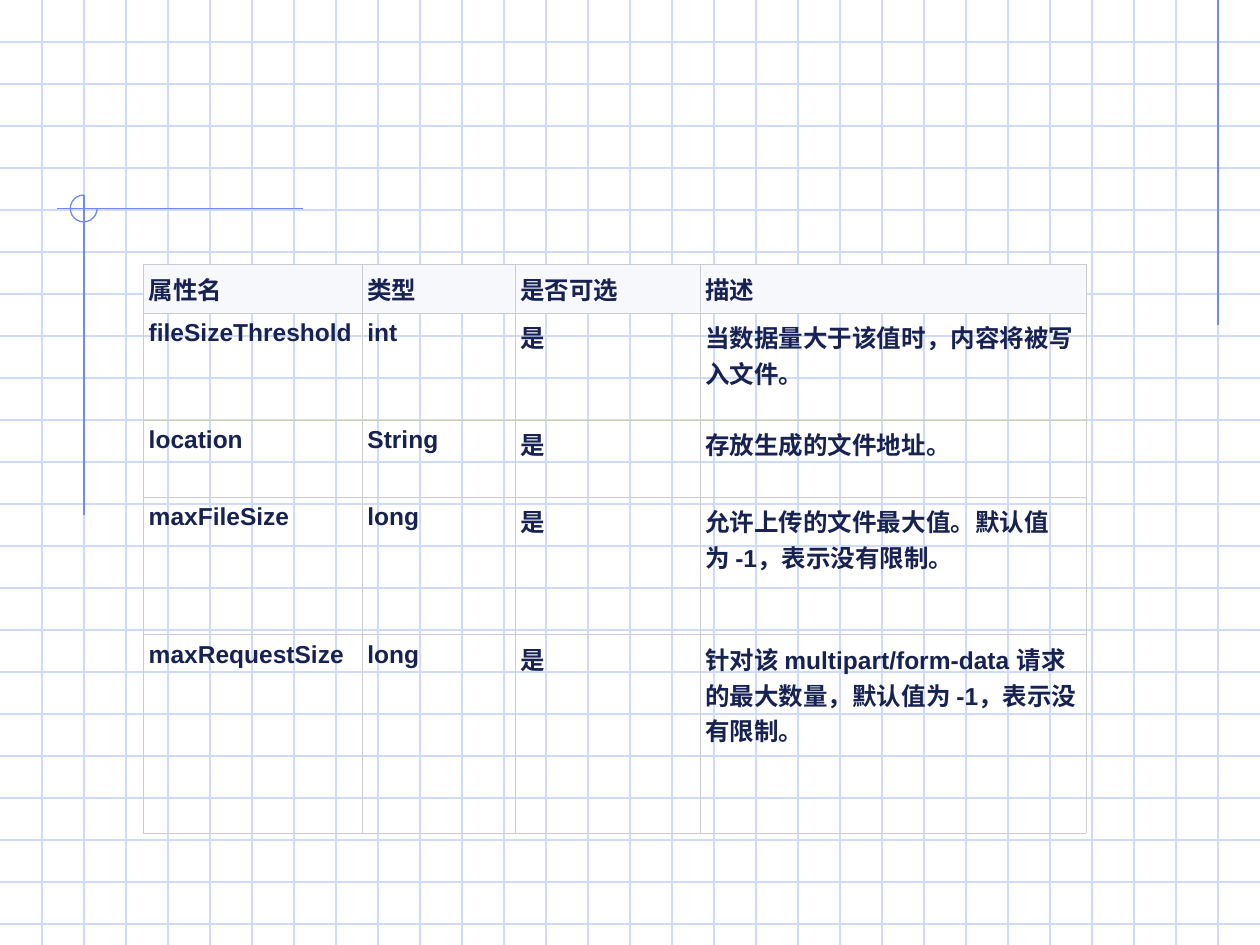
"""Build a slide with an attribute table on squared paper."""
import lxml.etree
import pptx
import pptx.dml.color
import pptx.enum.shapes
import pptx.oxml.ns
import pptx.util

Pt = pptx.util.Pt
qn = pptx.oxml.ns.qn

WIDTH, HEIGHT, GRID_STEP = 720, 540, 24
GRID_BLUE = pptx.dml.color.RGBColor(0xCF, 0xDB, 0xFD)
ACCENT_BLUE = pptx.dml.color.RGBColor(0x6F, 0x89, 0xF7)
BORDER_GREY = pptx.dml.color.RGBColor(0xCC, 0xCC, 0xCC)
HEADER_FILL = pptx.dml.color.RGBColor(0xF7, 0xF8, 0xFC)
TEXT_NAVY = pptx.dml.color.RGBColor(0x17, 0x22, 0x52)

COLUMN_WIDTHS = [125, 87.4, 105.6, 220.6]
ROW_HEIGHTS = [26.8, 61.2, 44, 78.6, 113.4]
ATTRIBUTES = [
    ("属性名", "类型", "是否可选", "描述"),
    ("fileSizeThreshold", "int", "是", "当数据量大于该值时，内容将被写入文件。"),
    ("location", "String", "是", "存放生成的文件地址。"),
    ("maxFileSize", "long", "是", "允许上传的文件最大值。默认值为 -1，表示没有限制。"),
    ("maxRequestSize", "long", "是",
     "针对该 multipart/form-data 请求的最大数量，默认值为 -1，表示没有限制。"),
]


def write_text(frame, text, *, font, size, color, bold=False):
    span = frame.paragraphs[0].add_run()
    span.text = text
    span.font.name = font
    span.font.size = Pt(size)
    span.font.bold = bold
    span.font.color.rgb = color


class SlidePainter:
    def __init__(self, page, font="Arial", size=14, line_width=0.75):
        self.page = page
        self.font = font
        self.size = size
        self.line_width = line_width

    def line(self, x1, y1, x2, y2, color):
        connector = self.page.shapes.add_connector(
            pptx.enum.shapes.MSO_CONNECTOR.STRAIGHT, Pt(x1), Pt(y1), Pt(x2), Pt(y2))
        connector.line.color.rgb = color
        connector.line.width = Pt(self.line_width)
        lxml.etree.SubElement(connector._element.spPr, qn("a:effectLst"))

    def grid(self, step, color):
        for y in range(step, HEIGHT, step):
            self.line(0, y, WIDTH, y, color)
        for x in range(step, WIDTH, step):
            self.line(x, 0, x, HEIGHT, color)

    def three_quarter_arc(self, left, top, diameter, color):
        arc = self.page.shapes.add_shape(
            pptx.enum.shapes.MSO_SHAPE.ARC, Pt(left), Pt(top), Pt(diameter), Pt(diameter))
        arc.adjustments[0] = 0
        arc.adjustments[1] = 270 * 0.6
        arc.shadow.inherit = False
        arc.fill.background()
        arc.line.color.rgb = color
        arc.line.width = Pt(self.line_width)

    def borders(self, cell, color, width):
        properties = cell._tc.get_or_add_tcPr()
        for side in ("a:lnL", "a:lnR", "a:lnT", "a:lnB"):
            edge = lxml.etree.SubElement(properties, qn(side), w=str(Pt(width)))
            fill = lxml.etree.SubElement(edge, qn("a:solidFill"))
            lxml.etree.SubElement(fill, qn("a:srgbClr"), val=str(color))

    def table(self, left, top, rows, widths, heights):
        frame = self.page.shapes.add_table(
            len(rows), len(widths), Pt(left), Pt(top), Pt(sum(widths)), Pt(sum(heights)))
        table = frame.table
        table.horz_banding = False
        for column, width in zip(table.columns, widths):
            column.width = Pt(width)
        for row, height, texts in zip(table.rows, heights, rows):
            row.height = Pt(height)
            for cell, text in zip(row.cells, texts):
                self.borders(cell, BORDER_GREY, 0.34)
                cell.margin_left = cell.margin_right = Pt(3)
                cell.margin_top = cell.margin_bottom = Pt(3.6)
                if texts is rows[0]:
                    cell.fill.solid()
                    cell.fill.fore_color.rgb = HEADER_FILL
                else:
                    cell.fill.background()
                write_text(cell.text_frame, text, font=self.font, size=self.size,
                           color=TEXT_NAVY, bold=True)


def main():
    deck = pptx.Presentation()
    deck.slide_width, deck.slide_height = Pt(WIDTH), Pt(HEIGHT)
    painter = SlidePainter(deck.slides.add_slide(deck.slide_layouts[6]))
    painter.grid(GRID_STEP, GRID_BLUE)
    painter.line(696, 0, 696, 186, ACCENT_BLUE)
    painter.line(173, 119.2, 32.5, 119.2, ACCENT_BLUE)
    painter.line(48, 111.5, 48, 294.5, ACCENT_BLUE)
    painter.three_quarter_arc(40.2, 111.5, 15.3, ACCENT_BLUE)
    painter.table(82, 151.2, ATTRIBUTES, COLUMN_WIDTHS, ROW_HEIGHTS)
    deck.save("out.pptx")


if __name__ == "__main__":
    main()
